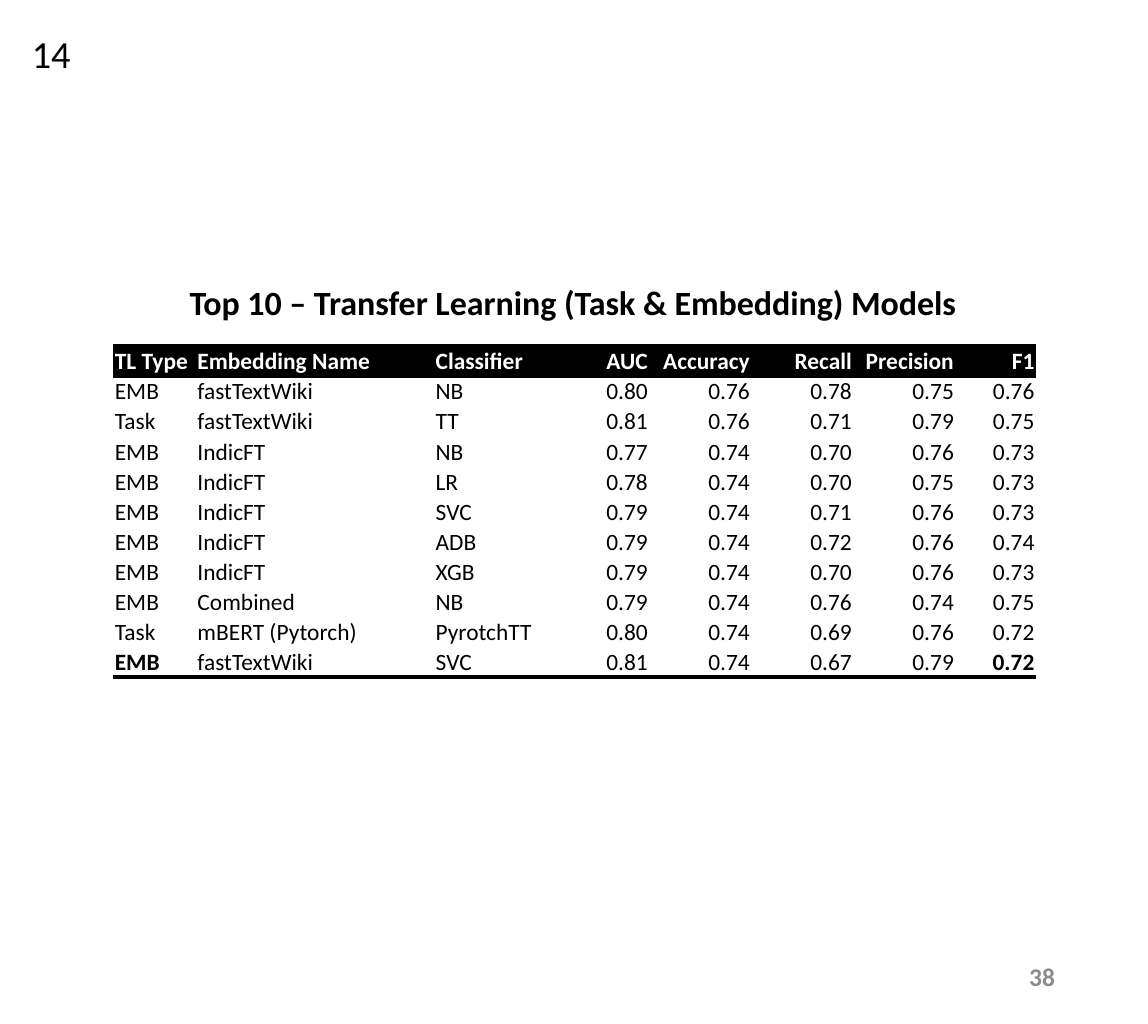
from dataclasses import dataclass

from lxml import etree
from pptx import Presentation
from pptx import util as u
from pptx.dml.color import RGBColor
from pptx.enum import text
from pptx.oxml import ns

EMU_PER_PX = 3048
FONT = "Calibri"
BLACK, WHITE, GREY = "000000", "FFFFFF", "8C8C8C"
LEFT, CENTER, RIGHT = text.PP_ALIGN.LEFT, text.PP_ALIGN.CENTER, text.PP_ALIGN.RIGHT
NO_STYLE = "{2D5ABB26-0587-4C30-8999-92F81FD0307C}"


@dataclass
class Label:
    words: str
    left: int
    top: int
    width: int
    height: int
    size: int
    color: str = BLACK
    bold: bool = False
    align: text.PP_ALIGN = LEFT
    anchor: text.MSO_ANCHOR = text.MSO_ANCHOR.TOP
    wrap: bool = True


@dataclass
class Column:
    heading: str
    width: int
    align: text.PP_ALIGN = RIGHT


LABELS = [
    Label("Top 10 – Transfer Learning (Task & Embedding) Models",
          330, 537, 1587, 111, 16, bold=True, align=CENTER),
    Label("38", 1590, 1860, 507, 108, 12, GREY, True, RIGHT, text.MSO_ANCHOR.MIDDLE),
    Label("14", 33, 45, 138, 120, 18, wrap=False),
]

COLUMNS = [
    Column("TL Type", 162, LEFT),
    Column("Embedding Name", 467, LEFT),
    Column("Classifier", 222, LEFT),
    Column("AUC", 200),
    Column("Accuracy", 200),
    Column("Recall", 200),
    Column("Precision", 200),
    Column("F1", 158),
]

MODELS = [
    ("EMB", "fastTextWiki", "NB", "0.80", "0.76", "0.78", "0.75", "0.76"),
    ("Task", "fastTextWiki", "TT", "0.81", "0.76", "0.71", "0.79", "0.75"),
    ("EMB", "IndicFT", "NB", "0.77", "0.74", "0.70", "0.76", "0.73"),
    ("EMB", "IndicFT", "LR", "0.78", "0.74", "0.70", "0.75", "0.73"),
    ("EMB", "IndicFT", "SVC", "0.79", "0.74", "0.71", "0.76", "0.73"),
    ("EMB", "IndicFT", "ADB", "0.79", "0.74", "0.72", "0.76", "0.74"),
    ("EMB", "IndicFT", "XGB", "0.79", "0.74", "0.70", "0.76", "0.73"),
    ("EMB", "Combined", "NB", "0.79", "0.74", "0.76", "0.74", "0.75"),
    ("Task", "mBERT (Pytorch)", "PyrotchTT", "0.80", "0.74", "0.69", "0.76", "0.72"),
    ("EMB", "fastTextWiki", "SVC", "0.81", "0.74", "0.67", "0.79", "0.72"),
]

TABLE_LEFT, TABLE_TOP, ROW_HEIGHT, CELL_INSET = 222, 678, 59, 3


def px(length: int) -> u.Emu:
    return u.Emu(length * EMU_PER_PX)


def rgb(color: str) -> RGBColor:
    return RGBColor.from_string(color)


def write(frame, words: str, size: int, color: str, bold: bool, align) -> None:
    para = frame.paragraphs[0]
    para.text = words
    para.alignment = align
    para.font.name = FONT
    para.font.size = u.Pt(size)
    para.font.bold = bold
    para.font.color.rgb = rgb(color)


def add_label(page, label: Label) -> None:
    box = page.shapes.add_textbox(
        px(label.left), px(label.top), px(label.width), px(label.height))
    frame = box.text_frame
    frame.word_wrap = label.wrap
    frame.vertical_anchor = label.anchor
    write(frame, label.words, label.size, label.color, label.bold, label.align)


def add_border(cell, side: str) -> None:
    line = etree.SubElement(cell._tc.get_or_add_tcPr(), ns.qn(f"a:{side}"), w=str(u.Pt(2)))
    fill = etree.SubElement(line, ns.qn("a:solidFill"))
    etree.SubElement(fill, ns.qn("a:srgbClr"), val=BLACK)


def add_results(page) -> None:
    rows = [tuple(column.heading for column in COLUMNS), *MODELS]
    last_row, last_column = len(rows) - 1, len(COLUMNS) - 1
    table = page.shapes.add_table(
        len(rows), len(COLUMNS), px(TABLE_LEFT), px(TABLE_TOP),
        px(sum(column.width for column in COLUMNS)), px(ROW_HEIGHT * len(rows))).table
    table.first_row = table.horz_banding = False
    table._tbl.tblPr.find(ns.qn("a:tableStyleId")).text = NO_STYLE
    for index, column in enumerate(COLUMNS):
        table.columns[index].width = px(column.width)
    for row, values in enumerate(rows):
        table.rows[row].height = px(ROW_HEIGHT)
        header = row == 0
        for index, (column, words) in enumerate(zip(COLUMNS, values)):
            cell = table.cell(row, index)
            cell.margin_left = cell.margin_top = cell.margin_right = px(CELL_INSET)
            cell.margin_bottom = 0
            cell.vertical_anchor = text.MSO_ANCHOR.BOTTOM
            if header:
                add_border(cell, "lnT")
            if row in (0, last_row):
                add_border(cell, "lnB")
            cell.fill.solid()
            cell.fill.fore_color.rgb = rgb(BLACK if header else WHITE)
            bold = header or (row == last_row and index in (0, last_column))
            write(cell.text_frame, words, 11, WHITE if header else BLACK, bold, column.align)


def main() -> None:
    deck = Presentation()
    deck.slide_width, deck.slide_height = px(2250), px(2007)
    page = deck.slides.add_slide(deck.slide_layouts[6])
    for label in LABELS:
        add_label(page, label)
    add_results(page)
    deck.save("out.pptx")


if __name__ == "__main__":
    main()
